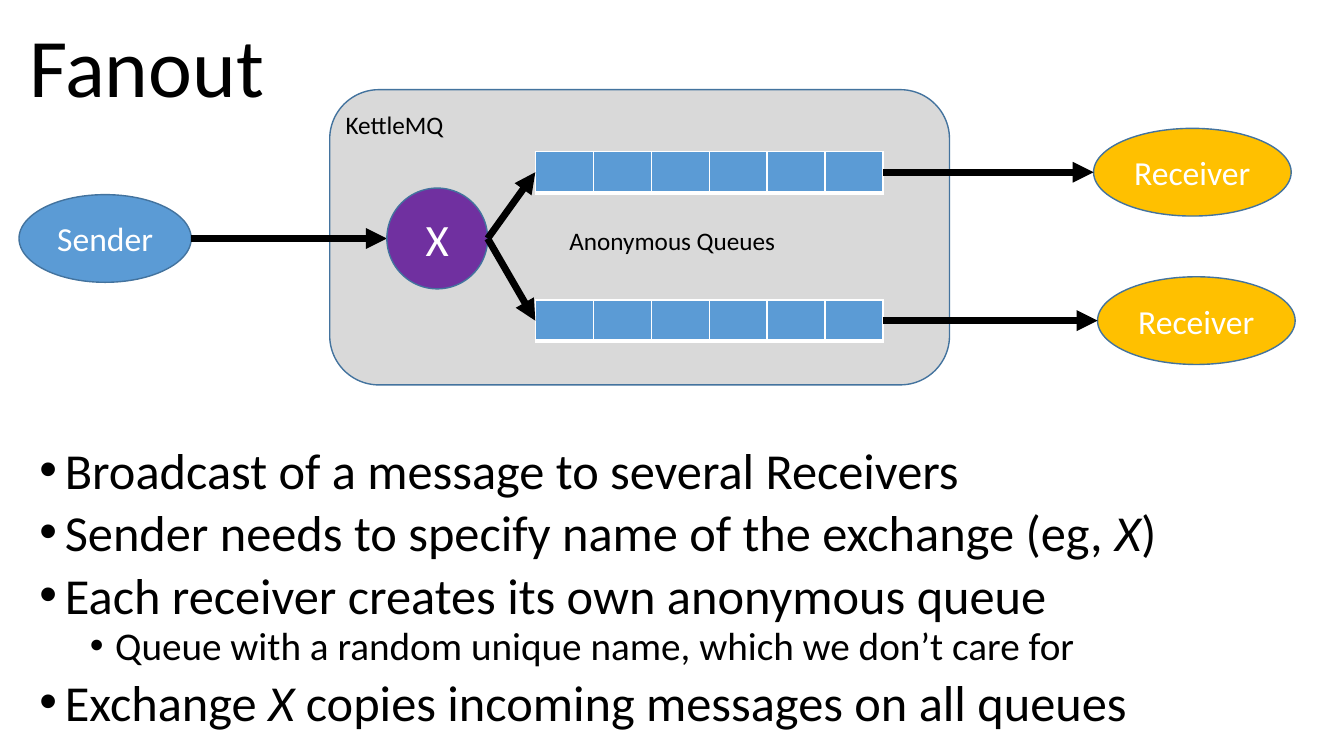
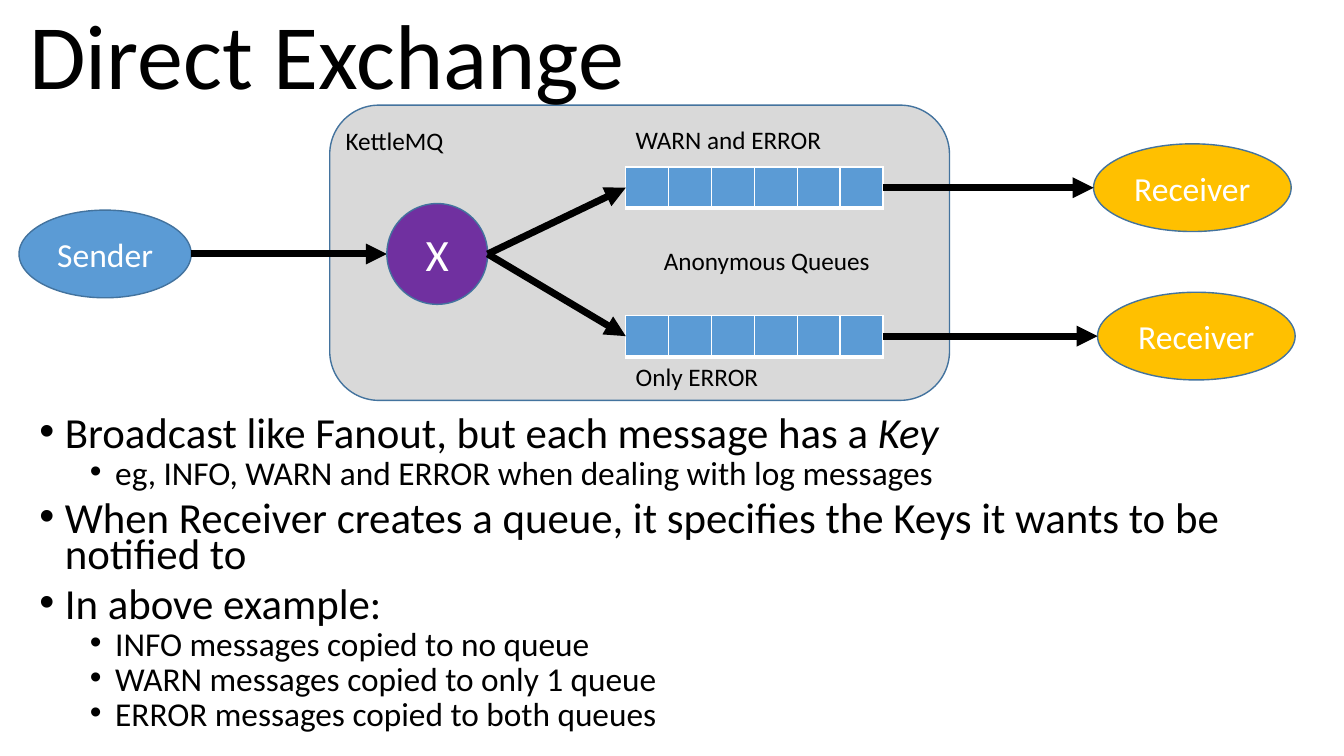
from lxml import etree
from pptx import Presentation
from pptx.dml.color import RGBColor
from pptx.enum.shapes import MSO_CONNECTOR, MSO_SHAPE
from pptx.enum.text import MSO_ANCHOR, MSO_AUTO_SIZE, PP_ALIGN
from pptx.oxml.ns import qn
from pptx.util import Cm, Pt

ELLIPSE = MSO_SHAPE.OVAL
ROUNDED = MSO_SHAPE.ROUNDED_RECTANGLE
STRAIGHT = MSO_CONNECTOR.STRAIGHT
LEFT, CENTER = PP_ALIGN.LEFT, PP_ALIGN.CENTER
TOP, MIDDLE = MSO_ANCHOR.TOP, MSO_ANCHOR.MIDDLE
NO_FIT, GROW = MSO_AUTO_SIZE.NONE, MSO_AUTO_SIZE.SHAPE_TO_FIT_TEXT

BLACK, WHITE, GREY = "000000", "FFFFFF", "D9D9D9"
BLUE, OUTLINE = "5B9BD5", "43739E"
AMBER, PURPLE = "FFC000", "7030A0"

CELL_COUNT = 6
QUEUE_RIGHT = 22.25
QUEUE_HEIGHT = 1.04
SENDER_LEFT, SENDER_WIDTH = 0.48, 4.34
RECEIVER_WIDTH, ACTOR_HEIGHT = 4.98, 2.21
EXCHANGE_LEFT, EXCHANGE_SIZE = 9.75, 2.54
EXCHANGE_MIDDLE = 3.75
LANES = [(2.08, 27.56), (5.82, 27.66)]


def color(hex_string):
    return RGBColor.from_string(hex_string)


def add_element(parent, tag, **attributes):
    return etree.SubElement(parent, qn(tag), **attributes)


class Deck:
    def __init__(self):
        self.presentation = Presentation()
        self.presentation.slide_width = Cm(33.87)
        self.presentation.slide_height = Cm(19.05)
        self.slide = None

    def new_slide(self):
        layout = self.presentation.slide_layouts[1]
        self.slide = self.presentation.slides.add_slide(layout)

    def place(self, shape, left, top, width, height):
        shape.left, shape.top = Cm(left), Cm(top)
        shape.width, shape.height = Cm(width), Cm(height)

    def style(self, paragraph, size, text_color=BLACK, alignment=LEFT):
        paragraph.alignment = alignment
        paragraph.font.name = "Calibri"
        paragraph.font.size = Pt(size)
        paragraph.font.color.rgb = color(text_color)

    def title(self, text, top, size):
        title = self.slide.shapes.title
        self.place(title, 0.48, top, 19.18, 2.72)
        frame = title.text_frame
        frame.text = text
        frame.auto_size = NO_FIT
        frame.vertical_anchor = MIDDLE
        paragraph = frame.paragraphs[0]
        paragraph.line_spacing = 0.9
        self.style(paragraph, size)

    def bullets(self, items, top, height, sizes, line_spacing):
        body = self.slide.placeholders[1]
        self.place(body, 0.74, top, 32.77, height)
        frame = body.text_frame
        frame.auto_size = NO_FIT
        frame.vertical_anchor = TOP
        for index, (level, text) in enumerate(items):
            paragraph = frame.add_paragraph() if index else frame.paragraphs[0]
            paragraph.level = level
            paragraph.line_spacing = line_spacing
            paragraph.space_before = Pt((10, 5)[level])
            self.style(paragraph, sizes[level])
            properties = paragraph.font._element.getparent()
            properties.set("marL", str(Cm((0.64, 1.91)[level])))
            properties.set("indent", str(Cm(-0.64)))
            bullet = etree.Element(qn("a:buChar"), char="•")
            properties.find(qn("a:defRPr")).addprevious(bullet)
            for part, content in enumerate(text.split("*")):
                if content:
                    run = paragraph.add_run()
                    run.text = content
                    if part % 2:
                        run.font.italic = True

    def shape(self, kind, left, top, width, height, fill, text="", size=24):
        shape = self.slide.shapes.add_shape(
            kind, Cm(left), Cm(top), Cm(width), Cm(height))
        shape.shadow.inherit = False
        shape.fill.solid()
        shape.fill.fore_color.rgb = color(fill)
        shape.line.color.rgb = color(OUTLINE)
        shape.line.width = Pt(1)
        if text:
            frame = shape.text_frame
            frame.text = text
            frame.vertical_anchor = MIDDLE
            self.style(frame.paragraphs[0], size, WHITE, CENTER)
        return shape

    def panel(self, top):
        panel = self.shape(ROUNDED, 8.31, top, 15.62, 7.44, GREY)
        self.slide.shapes.title.element.addprevious(panel.element)

    def label(self, text, left, top, width):
        box = self.slide.shapes.add_textbox(
            Cm(left), Cm(top), Cm(width), Cm(1.02))
        frame = box.text_frame
        frame.word_wrap = False
        frame.auto_size = GROW
        frame.text = text
        self.style(frame.paragraphs[0], 18)

    def arrow(self, start_x, start_y, end_x, end_y):
        connector = self.slide.shapes.add_connector(
            STRAIGHT, Cm(start_x), Cm(start_y), Cm(end_x), Cm(end_y))
        connector.line.color.rgb = color(BLACK)
        connector.line.width = Pt(5)
        add_element(connector.line._get_or_add_ln(), "a:tailEnd", type="triangle")
        add_element(connector.element.spPr, "a:effectLst")

    def queue(self, left, middle):
        width = QUEUE_RIGHT - left
        frame = self.slide.shapes.add_table(
            1, CELL_COUNT, Cm(left), Cm(middle - QUEUE_HEIGHT / 2),
            Cm(width), Cm(QUEUE_HEIGHT))
        for column in frame.table.columns:
            column.width = Cm(width / CELL_COUNT)
        for cell in frame.table.iter_cells():
            properties = cell._tc.get_or_add_tcPr()
            for side, points in (("L", 1), ("R", 1), ("T", 1), ("B", 3)):
                border = add_element(properties, f"a:ln{side}", w=str(Pt(points)))
                fill = add_element(border, "a:solidFill")
                add_element(fill, "a:srgbClr", val=WHITE)
            cell.fill.solid()
            cell.fill.fore_color.rgb = color(BLUE)

    def exchange_diagram(self, top, queue_left, labels):
        self.panel(top)
        middle = top + EXCHANGE_MIDDLE
        actor_top = middle - ACTOR_HEIGHT / 2
        exchange_right = EXCHANGE_LEFT + EXCHANGE_SIZE
        self.shape(ELLIPSE, SENDER_LEFT, actor_top, SENDER_WIDTH,
                   ACTOR_HEIGHT, BLUE, "Sender")
        self.arrow(SENDER_LEFT + SENDER_WIDTH, middle, EXCHANGE_LEFT, middle)
        self.shape(ELLIPSE, EXCHANGE_LEFT, middle - EXCHANGE_SIZE / 2,
                   EXCHANGE_SIZE, EXCHANGE_SIZE, PURPLE, "X", 32)
        for offset, receiver_left in LANES:
            lane = top + offset
            self.shape(ELLIPSE, receiver_left, lane - ACTOR_HEIGHT / 2,
                       RECEIVER_WIDTH, ACTOR_HEIGHT, AMBER, "Receiver")
            self.queue(queue_left, lane)
            self.arrow(QUEUE_RIGHT, lane, receiver_left, lane)
            self.arrow(exchange_right, middle, queue_left, lane)
        self.label("KettleMQ", 8.46, top + 0.38, 3.5)
        for text, left, offset, width in labels:
            self.label(text, left, top + offset, width)


deck = Deck()

deck.new_slide()
deck.title("Fanout", 0.41, 59.4)
deck.bullets([
    (0, "Broadcast of a message to several Receivers"),
    (0, "Sender needs to specify name of the exchange (eg, *X*)"),
    (0, "Each receiver creates its own anonymous queue"),
    (1, "Queue with a random unique name, which we don’t care for"),
    (0, "Exchange *X* copies incoming messages on all queues"),
], 11.23, 7.42, (36, 28), 0.8)
deck.exchange_diagram(2.26, 13.49, [("Anonymous Queues", 14.1, 3.3, 5.77)])

deck.new_slide()
deck.title("Direct Exchange", 0.15, 65.7)
deck.bullets([
    (0, "Broadcast like Fanout, but each message has a *Key*"),
    (1, "eg, INFO, WARN and ERROR when dealing with log messages"),
    (0, "When Receiver creates a queue, it specifies the Keys it wants "
        "to be notified to"),
    (0, "In above example:"),
    (1, "INFO messages copied to no queue"),
    (1, "WARN messages copied to only 1 queue"),
    (1, "ERROR messages copied to both queues"),
], 10.46, 8.59, (30.6, 23.8), 0.7)
deck.exchange_diagram(2.65, 15.77, [
    ("Anonymous Queues", 16.48, 3.4, 5.77),
    ("WARN and ERROR", 15.77, 0.36, 5.23),
    ("Only ERROR", 15.77, 6.32, 3.63),
])

deck.presentation.save("out.pptx")
